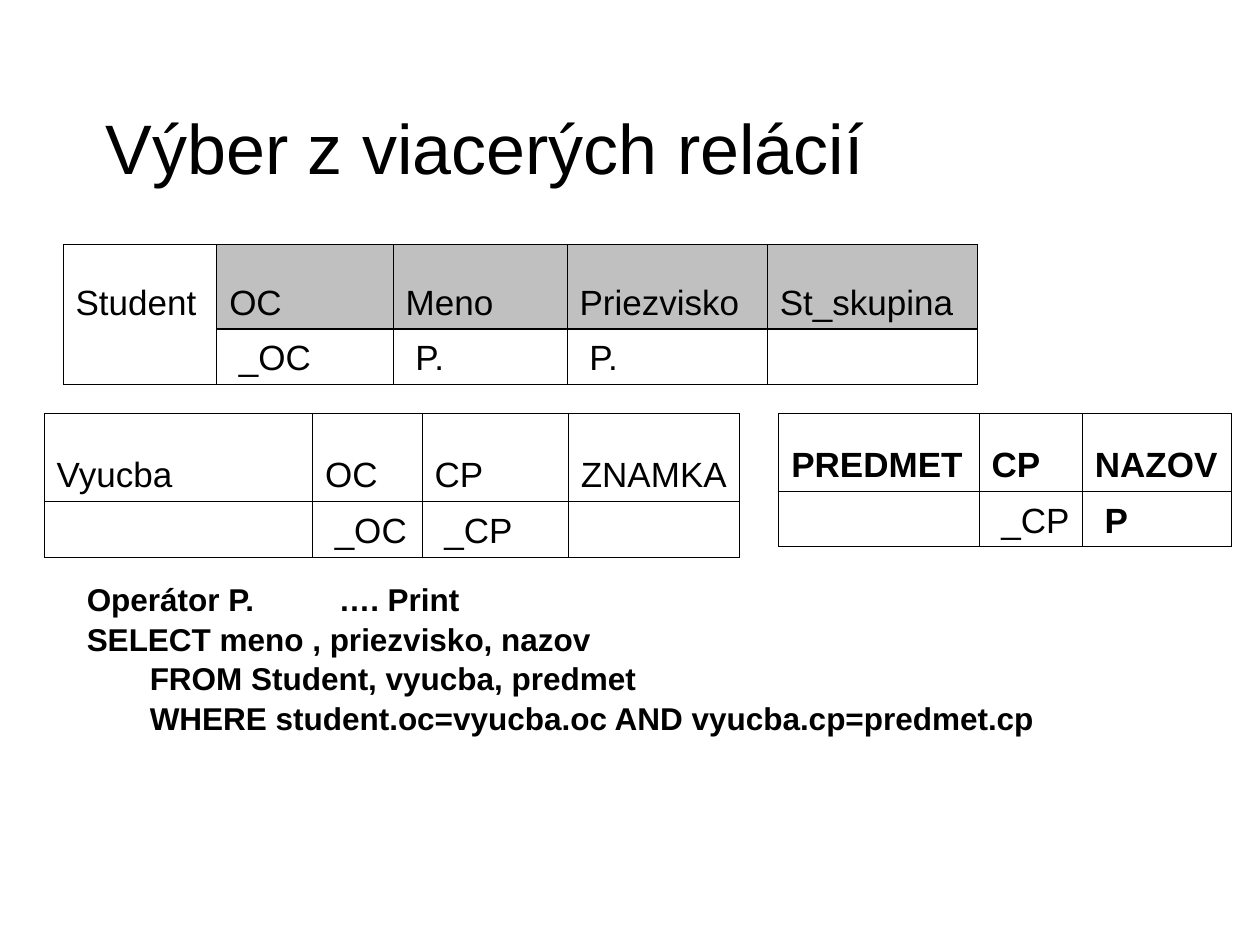
from lxml import etree
from pptx import Presentation
from pptx.dml.color import RGBColor
from pptx.enum.text import MSO_ANCHOR, MSO_AUTO_SIZE, PP_ALIGN
from pptx.oxml.ns import qn
from pptx.util import Inches, Pt

BOTTOM, MIDDLE = MSO_ANCHOR.BOTTOM, MSO_ANCHOR.MIDDLE
LEFT = PP_ALIGN.LEFT
FIT = MSO_AUTO_SIZE.SHAPE_TO_FIT_TEXT
BLACK, GREY = "000000", "C0C0C0"
THIN = 0.45

TITLE = "Výber z viacerých relácií"
TABLES = [
    dict(at=(0.5, 1.94), cols=[1.22, 1.4, 1.38, 1.59, 1.67], rows=[0.67, 0.44],
         cells=[["Student", "OC", "Meno", "Priezvisko", "St_skupina"],
                ["", " _OC", " P.", " P.", ""]],
         head=GREY, rule=0.96, bold=[]),
    dict(at=(0.35, 3.28), cols=[2.13, 0.87, 1.16, 1.36], rows=[0.7, 0.44],
         cells=[["Vyucba", "OC", "CP", "ZNAMKA"],
                ["", " _OC", " _CP", ""]],
         head=None, rule=THIN, bold=[]),
    dict(at=(6.18, 3.28), cols=[1.59, 0.82, 1.18], rows=[0.62, 0.44],
         cells=[["PREDMET", "CP", "NAZOV"],
                ["", " _CP", " P"]],
         head=None, rule=THIN, bold=["PREDMET", "CP", "NAZOV", " P"]),
]
QUERY = [
    (0, "Operátor P. \t\t…. Print"),
    (0, "SELECT meno , priezvisko, nazov"),
    (0.5, "FROM Student, vyucba, predmet"),
    (0.5, "WHERE student.oc=vyucba.oc AND vyucba.cp=predmet.cp"),
]
TABS = [2, 3]


def color(code):
    return RGBColor.from_string(code)


def write(para, text, size, bold=False):
    para.alignment = LEFT
    run = para.add_run()
    run.text = text
    font = run.font
    font.name, font.size, font.bold = "Arial", Pt(size), bold
    font.color.rgb = color(BLACK)


def border(cell, side, width):
    props = cell._tc.get_or_add_tcPr()
    line = etree.SubElement(props, qn("a:ln" + side), w=str(Pt(width)))
    if width:
        fill = etree.SubElement(line, qn("a:solidFill"))
        etree.SubElement(fill, qn("a:srgbClr"), val=BLACK)
    else:
        etree.SubElement(line, qn("a:noFill"))


def add_grid(slide, item):
    cols, rows, cells = item["cols"], item["rows"], item["cells"]
    x, y = item["at"]
    table = slide.shapes.add_table(
        len(rows), len(cols), Inches(x), Inches(y),
        Inches(sum(cols)), Inches(sum(rows))).table
    for col, width in zip(table.columns, cols):
        col.width = Inches(width)
    for row, height in zip(table.rows, rows):
        row.height = Inches(height)
    for r, line in enumerate(cells):
        for c, text in enumerate(line):
            cell = table.cell(r, c)
            cell.vertical_anchor = BOTTOM
            open_side = item["head"] and c == 0
            inner = 0 if open_side else item["rule"]
            sides = dict(L=THIN, R=THIN,
                         T=inner if r else THIN, B=THIN if r else inner)
            for side, width in sides.items():
                border(cell, side, width)
            if item["head"] and r == 0 and c:
                cell.fill.solid()
                cell.fill.fore_color.rgb = color(item["head"])
            else:
                cell.fill.background()
            if text:
                write(cell.text_frame.paragraphs[0], text, 20, text in item["bold"])


def add_query(slide):
    box = slide.shapes.add_textbox(Inches(0.59), Inches(4.54), Inches(8.82), Inches(1.6))
    frame = box.text_frame
    frame.word_wrap = True
    frame.auto_size = FIT
    for i, (indent, text) in enumerate(QUERY):
        para = frame.add_paragraph() if i else frame.paragraphs[0]
        para.line_spacing = 1.05
        props = para._p.get_or_add_pPr()
        props.set("marL", str(Inches(indent)))
        props.set("indent", "0")
        if "\t" in text:
            stops = etree.SubElement(props, qn("a:tabLst"))
            for pos in TABS:
                etree.SubElement(stops, qn("a:tab"), pos=str(Inches(pos)), algn="l")
        write(para, text, 18, True)


def main():
    deck = Presentation()
    deck.slide_width, deck.slide_height = Inches(10), Inches(7.5)
    slide = deck.slides.add_slide(deck.slide_layouts[5])
    title = slide.shapes.title
    title.left, title.top = Inches(0.74), Inches(0.54)
    title.width, title.height = Inches(9), Inches(1.25)
    title.text_frame.vertical_anchor = MIDDLE
    write(title.text_frame.paragraphs[0], TITLE, 40)
    for item in TABLES:
        add_grid(slide, item)
    add_query(slide)
    deck.save("out.pptx")


if __name__ == "__main__":
    main()
